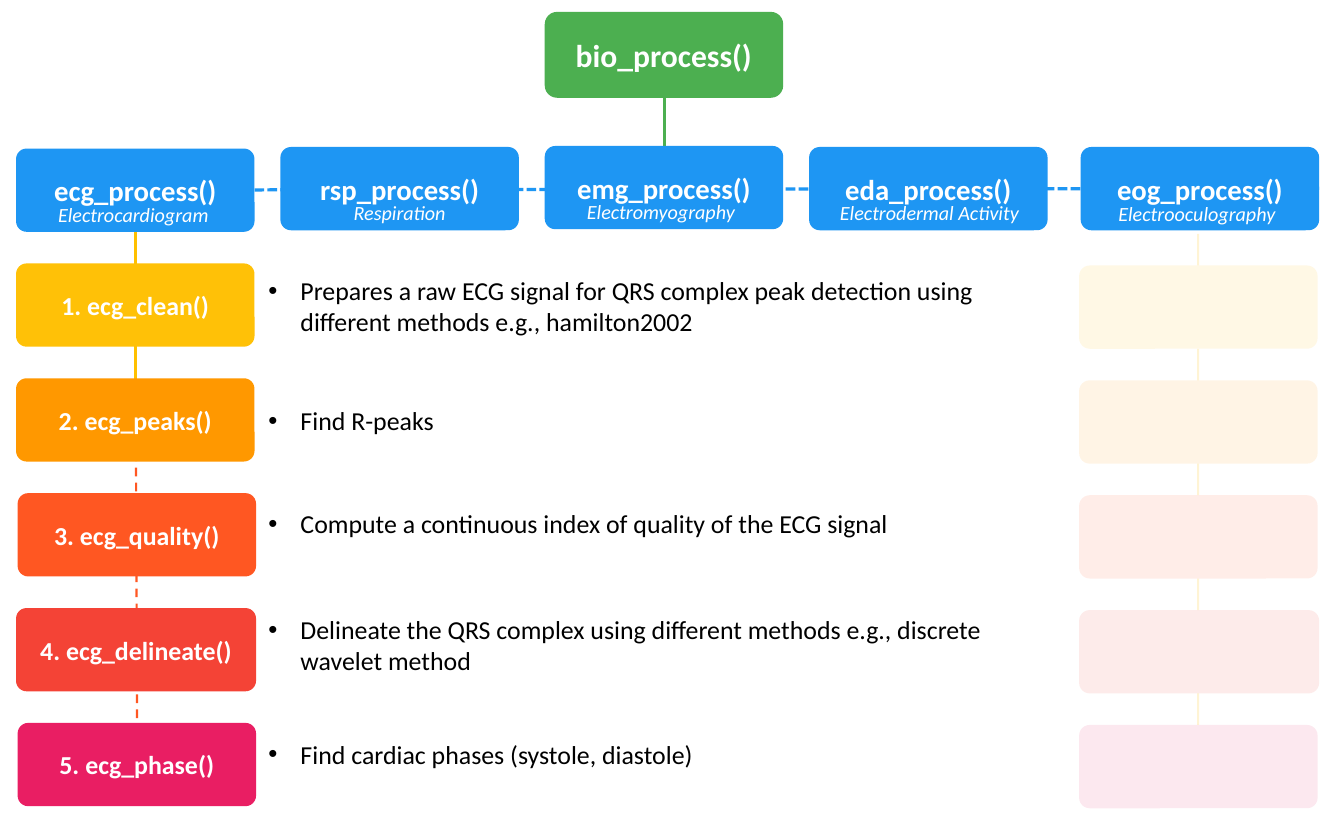
"""Build the slide that maps bio_process() to its signal functions and the ECG steps."""
from lxml import etree
from pptx import Presentation
from pptx.dml.color import RGBColor
from pptx.enum import dml, shapes, text
from pptx.oxml import ns
from pptx.util import Inches, Pt

WHITE = RGBColor(0xFF, 0xFF, 0xFF)
BLACK = RGBColor(0, 0, 0)
GREEN = RGBColor(0x4C, 0xAF, 0x50)
BLUE = RGBColor(0x1E, 0x96, 0xF3)
GOLD = RGBColor(0xFF, 0xC0, 0x00)
AMBER = RGBColor(0xFF, 0xC1, 0x07)
ORANGE = RGBColor(0xFF, 0x98, 0x00)
VERMILION = RGBColor(0xFF, 0x57, 0x22)
RED = RGBColor(0xF4, 0x43, 0x36)
PINK = RGBColor(0xE9, 0x1E, 0x63)

BOX_WIDTH, BOX_HEIGHT, STEP_PITCH = 4.61, 1.61, 2.22
STEP_TOP, FADED_TOP, FADED_LEFT = 5.09, 5.13, 20.86
HANGING_INDENT = 0.62

SIGNALS = [
    ("ecg_process()", 0.31, 2.87, "Electrocardiogram", 0.82, 3.86, 3.51),
    ("rsp_process()", 5.42, 2.84, "Respiration", 6.41, 3.83, 2.63),
    ("emg_process()", 10.53, 2.82, "Electromyography", 11.21, 3.81, 3.13),
    ("eda_process()", 15.64, 2.84, "Electrodermal Activity", 15.68, 3.83, 4.57),
    ("eog_process()", 20.89, 2.84, "Electrooculography", 20.85, 3.85, 4.57),
]
STEPS = [
    ("1. ecg_clean()", AMBER, 0.31, BOX_WIDTH, 5.05,
     "Prepares a raw ECG signal for QRS complex peak detection using "
     "different methods e.g., hamilton2002"),
    ("2. ecg_peaks()", ORANGE, 0.31, BOX_WIDTH, 7.27, "Find R-peaks"),
    ("3. ecg_quality()", VERMILION, 0.34, BOX_WIDTH, 9.26,
     "Compute a continuous index of quality of the ECG signal"),
    ("4. ecg_delineate()", RED, 0.31, 4.64, 11.61,
     "Delineate the QRS complex using different methods e.g., "
     "discrete wavelet method"),
    ("5. ecg_phase()", PINK, 0.34, BOX_WIDTH, 13.71,
     "Find cardiac phases (systole, diastole)"),
]


def set_all(target, values):
    """Set every attribute of the target named in a dict of values."""
    for name, value in values.items():
        setattr(target, name, value)


def set_opacity(fill_parent, percent):
    """Give the solid colour below an element an opacity in percent."""
    color = fill_parent.find(ns.qn("a:solidFill"))[0]
    etree.SubElement(color, ns.qn("a:alpha")).set("val", str(percent * 1000))


class Painter:
    """Hold the style and the current page, and draw each kind of element."""

    font = "Calibri"
    box_frame = {
        "word_wrap": True, "vertical_anchor": text.MSO_ANCHOR.MIDDLE,
        "margin_left": Inches(0.19), "margin_right": Inches(0.19),
        "margin_top": Inches(0.1), "margin_bottom": Inches(0.1),
    }

    def __init__(self, page):
        """Remember the page to draw on."""
        self.page = page

    def label(self, frame, words, size, color, align, **style):
        """Put one styled paragraph in a text frame and return it."""
        para = frame.paragraphs[0]
        para.alignment = align
        span = para.add_run()
        span.text = words
        set_all(span.font, {"name": self.font, "size": Pt(size), **style})
        span.font.color.rgb = color
        return para

    def box(self, left, top, width, height, color, words="", size=36,
            corner=0.127, opacity=100):
        """Draw a rounded box, with a bold centred label if words are given."""
        box = self.page.shapes.add_shape(
            shapes.MSO_SHAPE.ROUNDED_RECTANGLE,
            Inches(left), Inches(top), Inches(width), Inches(height))
        box.adjustments[0] = corner
        box.shadow.inherit = False
        box.line.fill.background()
        box.fill.solid()
        box.fill.fore_color.rgb = color
        if opacity < 100:
            set_opacity(box.element.spPr, opacity)
        if words:
            set_all(box.text_frame, self.box_frame)
            self.label(box.text_frame, words, size, WHITE,
                       text.PP_ALIGN.CENTER, bold=True)

    def line(self, start, end, color, width, dash=None, opacity=100):
        """Draw a straight line between two points."""
        line = self.page.shapes.add_connector(
            shapes.MSO_CONNECTOR.STRAIGHT,
            *(Inches(value) for value in (*start, *end)))
        line.line.color.rgb = color
        set_all(line.line, {"width": Pt(width), "dash_style": dash})
        if opacity < 100:
            set_opacity(line.element.spPr.find(ns.qn("a:ln")), opacity)
        etree.SubElement(line.element.spPr, ns.qn("a:effectLst"))

    def text_box(self, left, top, width, height, anchor):
        """Add a wrapping text box and return its frame."""
        box = self.page.shapes.add_textbox(
            Inches(left), Inches(top), Inches(width), Inches(height))
        set_all(box.text_frame, {"word_wrap": True, "vertical_anchor": anchor})
        return box.text_frame

    def caption(self, left, top, width, words):
        """Add the italic name of a signal."""
        frame = self.text_box(left, top, width, 0.58, text.MSO_ANCHOR.TOP)
        self.label(frame, words, 28, WHITE, text.PP_ALIGN.CENTER, italic=True)

    def bullet(self, top, words):
        """Add the bulleted description of a step."""
        frame = self.text_box(5.09, top, 14.56, 1.71, text.MSO_ANCHOR.MIDDLE)
        para = self.label(frame, words, 36, BLACK, text.PP_ALIGN.LEFT)
        props = para._p.get_or_add_pPr()
        props.set("marL", str(Inches(HANGING_INDENT)))
        props.set("indent", str(-Inches(HANGING_INDENT)))
        etree.SubElement(props, ns.qn("a:buFont")).set("typeface", "Arial")
        etree.SubElement(props, ns.qn("a:buChar")).set("char", "•")


deck = Presentation()
set_all(deck, {"slide_width": Inches(25.98), "slide_height": Inches(15.75)})
painter = Painter(deck.slides.add_slide(deck.slide_layouts[6]))

for index, (_, color, _, width, _, _) in enumerate(STEPS):
    top = FADED_TOP + index * STEP_PITCH
    painter.line((23.16, top - STEP_PITCH + BOX_HEIGHT), (23.16, top),
                 GOLD, 3, opacity=17)
    painter.box(FADED_LEFT, top, width, BOX_HEIGHT, color, opacity=10)

painter.line((2.62, 6.7), (2.65, 13.98), VERMILION, 3, dml.MSO_LINE.DASH)
painter.line((2.62, 4.47), (2.62, 7.57), GOLD, 3)
painter.line((4.92, 3.67), (25.5, 3.64), BLUE, 4.5, dml.MSO_LINE.SQUARE_DOT)
painter.box(10.53, 0.23, BOX_WIDTH, 1.66, GREEN, "bio_process()", 44, 0.143)
painter.line((12.84, 1.89), (12.84, 2.82), GREEN, 4.5)

for index, (name, color, left, width, note_top, note) in enumerate(STEPS):
    painter.box(left, STEP_TOP + index * STEP_PITCH, width, BOX_HEIGHT, color, name)
    painter.bullet(note_top, note)

for name, left, top, signal, caption_left, caption_top, caption_width in SIGNALS:
    painter.box(left, top, BOX_WIDTH, BOX_HEIGHT, BLUE, name, 40)
    painter.caption(caption_left, caption_top, caption_width, signal)

deck.save("out.pptx")
